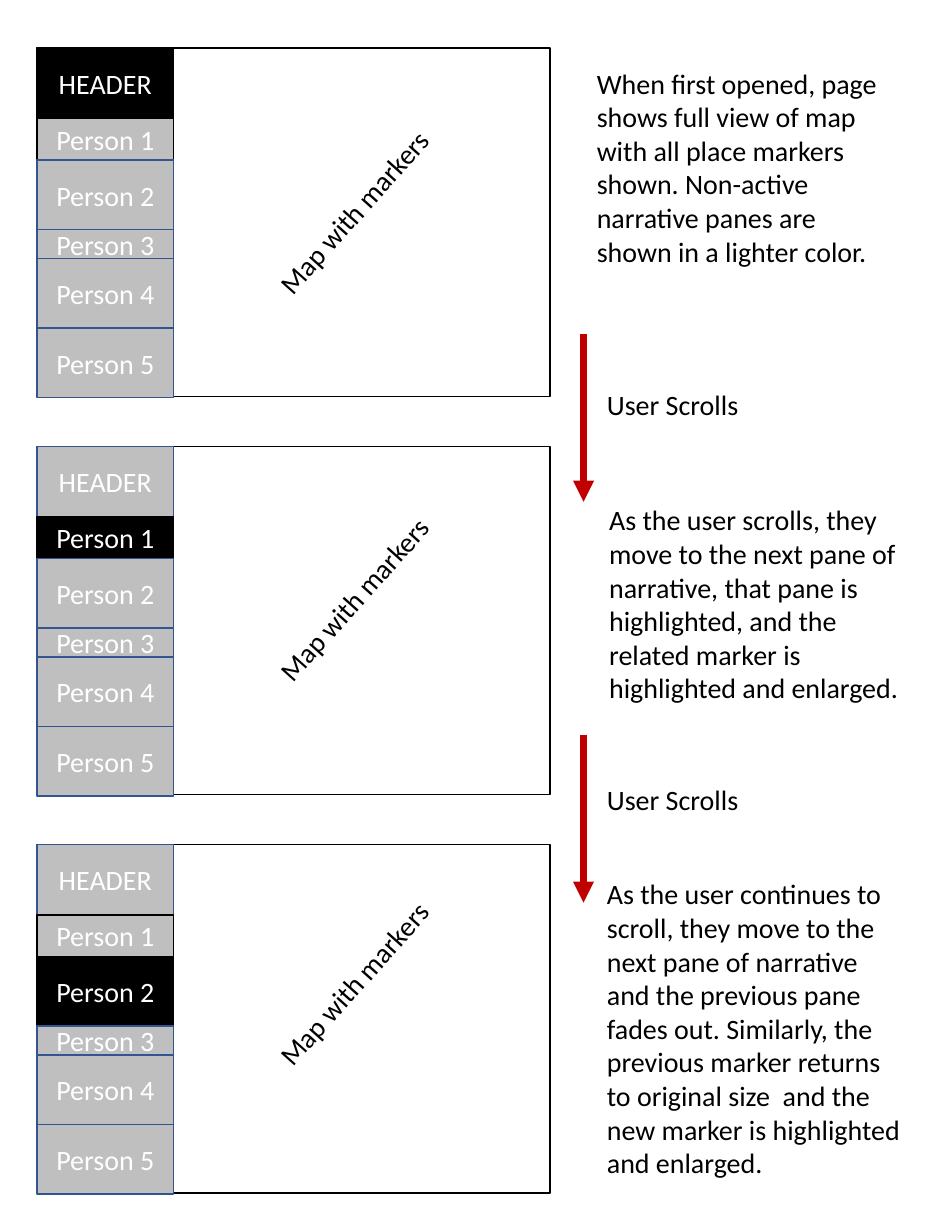
from itertools import pairwise

from lxml import etree
from pptx import Presentation
from pptx.dml.color import RGBColor
from pptx.enum.shapes import MSO_CONNECTOR, MSO_SHAPE
from pptx.enum.text import MSO_ANCHOR, PP_ALIGN
from pptx.oxml.ns import qn
from pptx.util import Pt

PX = 9144
RECTANGLE = MSO_SHAPE.RECTANGLE
STRAIGHT = MSO_CONNECTOR.STRAIGHT
MIDDLE = MSO_ANCHOR.MIDDLE
CENTER = PP_ALIGN.CENTER

BLACK = RGBColor(0x00, 0x00, 0x00)
WHITE = RGBColor(0xFF, 0xFF, 0xFF)
GRAY = RGBColor(0xBF, 0xBF, 0xBF)
BLUE = RGBColor(0x32, 0x54, 0x91)
RED = RGBColor(0xC0, 0x00, 0x00)

PANES = ["HEADER", "Person 1", "Person 2", "Person 3", "Person 4", "Person 5"]
PANE_EDGES = [0, 63, 100, 162, 188, 250, 312]
PANE_WIDTH = 122
SCREEN_SIZE = (458, 311)
SCREEN_LEFT, SCREEN_TOP, SCREEN_STEP = 33, 43, 355.5

SCREENS = [
    ("HEADER", {"HEADER", "Person 1"}),
    ("Person 1", {"Person 1"}),
    ("Person 2", {"Person 1", "Person 2"}),
]
MAP_LABEL_TOPS = [161, 507, 850]
SCROLLS = [(298, 341), (656, 694)]
NOTES = [
    ((523, 54, 282, 192),
     "When first opened, page shows full view of map with all place markers "
     "shown. Non-active narrative panes are shown in a lighter color."),
    ((534, 444, 282, 192),
     "As the user scrolls, they move to the next pane of narrative, that pane "
     "is highlighted, and the related marker is highlighted and enlarged."),
    ((532, 778, 282, 283),
     "As the user continues to scroll, they move to the next pane of narrative "
     "and the previous pane fades out. Similarly, the previous marker returns "
     "to original size  and the new marker is highlighted and enlarged."),
]


def emu(*lengths):
    return [round(length * PX) for length in lengths]


def set_text(shape, text, color):
    frame = shape.text_frame
    frame.word_wrap = True
    frame.text = text
    font = frame.paragraphs[0].runs[0].font
    font.name, font.size = "Calibri", Pt(18)
    font.color.rgb = color


def add_box(shapes, box, outline, fill=None):
    rect = shapes.add_shape(RECTANGLE, *emu(*box))
    rect.shadow.inherit = False
    if fill is None:
        rect.fill.background()
    else:
        rect.fill.solid()
        rect.fill.fore_color.rgb = fill
    rect.line.color.rgb = outline
    rect.line.width = Pt(1)
    return rect


def add_screen(slide, left, top, active, black_outlined):
    shapes = slide.shapes.add_group_shape().shapes
    add_box(shapes, (left, top, *SCREEN_SIZE), BLACK)
    for name, (start, end) in zip(PANES, pairwise(PANE_EDGES)):
        pane = add_box(
            shapes,
            (left, top + start, PANE_WIDTH, end - start),
            BLACK if name in black_outlined else BLUE,
            BLACK if name == active else GRAY,
        )
        set_text(pane, name, WHITE)
        pane.text_frame.vertical_anchor = MIDDLE
        pane.text_frame.paragraphs[0].alignment = CENTER


def add_note(slide, box, text, rotation=0):
    note = slide.shapes.add_textbox(*emu(*box))
    note.rotation = rotation
    set_text(note, text, BLACK)


def add_scroll(slide, x, top, label_top):
    arrow = slide.shapes.add_connector(STRAIGHT, *emu(x, top, x, top + 150))
    arrow.line.color.rgb = RED
    arrow.line.width = Pt(4.5)
    etree.SubElement(arrow.line._get_or_add_ln(), qn("a:tailEnd"), type="triangle")
    etree.SubElement(arrow._element.spPr, qn("a:effectLst"))
    add_note(slide, (x + 11, label_top, 154, 40), "User Scrolls")


def main():
    presentation = Presentation()
    presentation.slide_width, presentation.slide_height = emu(850, 1100)
    slide = presentation.slides.add_slide(presentation.slide_layouts[6])
    for index, (active, black_outlined) in enumerate(SCREENS):
        top = SCREEN_TOP + index * SCREEN_STEP
        add_screen(slide, SCREEN_LEFT, top, active, black_outlined)
    for top, label_top in SCROLLS:
        add_scroll(slide, 521, top, label_top)
    for box, text in NOTES:
        add_note(slide, box, text)
    for top in MAP_LABEL_TOPS:
        add_note(slide, (210, top, 226, 40), "Map with markers", 311.8)
    presentation.save("out.pptx")


if __name__ == "__main__":
    main()
